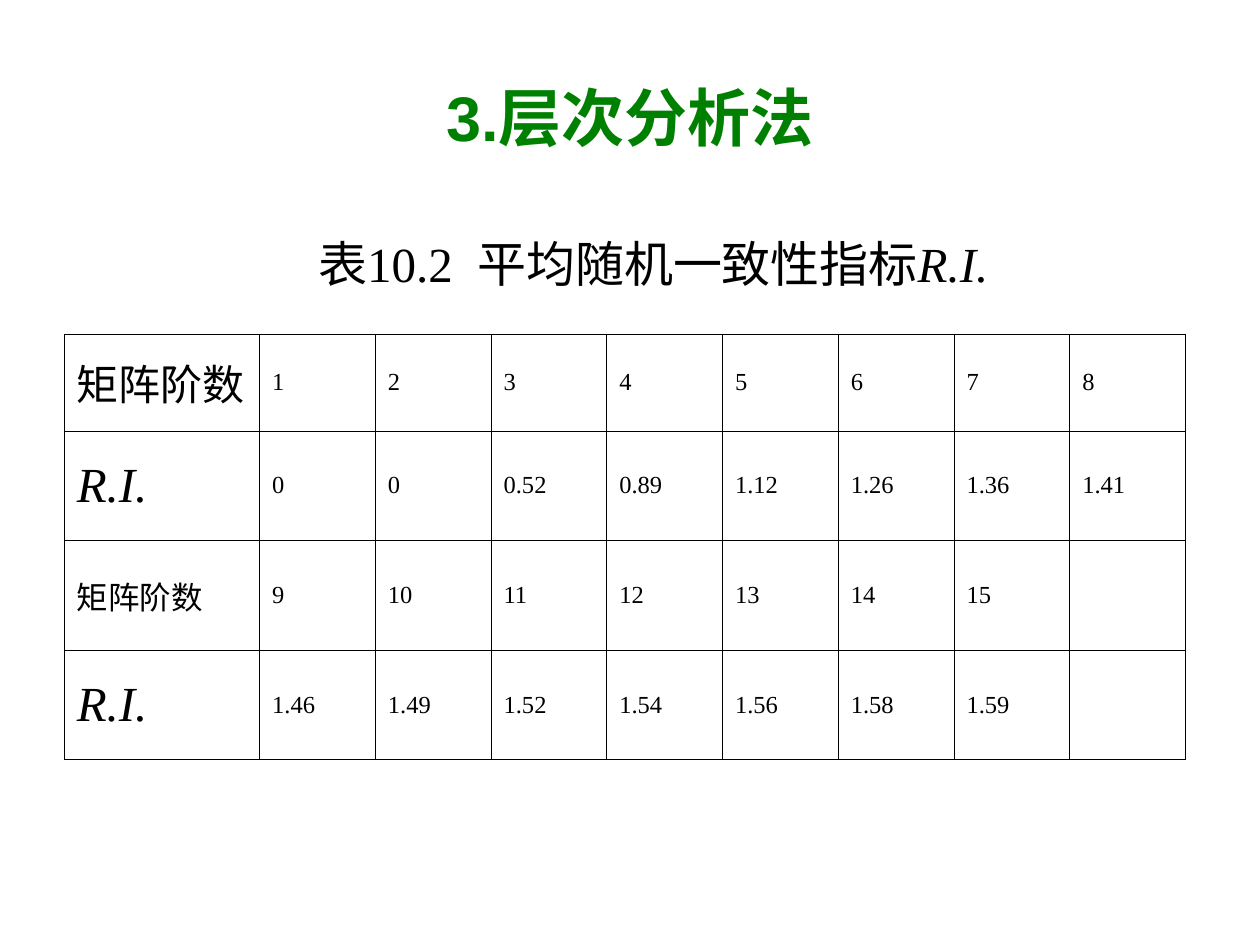
from lxml import etree
from pptx import Presentation
from pptx.dml.color import RGBColor
from pptx.enum.text import MSO_ANCHOR, PP_ALIGN
from pptx.oxml.ns import qn
from pptx.util import Inches, Pt

BLACK = RGBColor(0x00, 0x00, 0x00)
GREEN = RGBColor(0x00, 0x80, 0x00)
LATIN, SERIF, CHINESE = "Arial", "Times New Roman", "Noto Sans CJK SC"
MIDDLE, CENTER, LEFT = MSO_ANCHOR.MIDDLE, PP_ALIGN.CENTER, PP_ALIGN.LEFT

# Content
TITLE = "3.层次分析法"
CAPTION = [
    ("表", {"font": CHINESE}),
    ("10.2", {}),
    (" ", {"spacing": 7}),
    ("平均随机一致性指标", {"font": CHINESE}),
    ("R.I.", {"italic": True}),
]
ROWS = [
    ["矩阵阶数", "1", "2", "3", "4", "5", "6", "7", "8"],
    ["R.I.", "0", "0", "0.52", "0.89", "1.12", "1.26", "1.36", "1.41"],
    ["矩阵阶数", "9", "10", "11", "12", "13", "14", "15", ""],
    ["R.I.", "1.46", "1.49", "1.52", "1.54", "1.56", "1.58", "1.59", ""],
]
INDEX_STYLE = {"size": 28, "italic": True}
HEADING_STYLES = [
    {"size": 24, "font": LATIN}, INDEX_STYLE,
    {"size": 18, "font": LATIN}, INDEX_STYLE,
]

# Table layout, in inches, and border widths, in points
TABLE_LEFT, TABLE_TOP, TABLE_WIDTH = 0.51, 2.65, 8.9
HEADING_WIDTH = 1.55
ROW_HEIGHTS = [0.77, 0.87, 0.87, 0.87]
OUTER_LINE, INNER_LINE, DIVIDER_LINE = 0.45, 0.34, 0.96


def add_text(paragraph, text, *, size=14, font=SERIF, color=BLACK, bold=False,
             italic=False, align=LEFT, spacing=0):
    paragraph.alignment = align
    run = paragraph.add_run()
    run.text = text
    run.font.size = Pt(size)
    run.font.name = font
    run.font.bold = bold
    run.font.italic = italic
    run.font.color.rgb = color
    properties = run.font._element
    etree.SubElement(properties, qn("a:ea")).set("typeface", CHINESE)
    if spacing:
        properties.set("spc", str(spacing * 100))


def add_box(slide, left, top, width, height):
    box = slide.shapes.add_textbox(
        Inches(left), Inches(top), Inches(width), Inches(height))
    box.text_frame.word_wrap = True
    box.text_frame.vertical_anchor = MIDDLE
    return box.text_frame.paragraphs[0]


def set_borders(cell, widths):
    properties = cell._tc.get_or_add_tcPr()
    for side, width in zip("LRTB", widths):
        line = etree.SubElement(properties, qn(f"a:ln{side}"), w=str(Pt(width)))
        fill = etree.SubElement(line, qn("a:solidFill"))
        etree.SubElement(fill, qn("a:srgbClr"), val=str(BLACK))


def add_index_table(slide):
    row_count, column_count = len(ROWS), len(ROWS[0])
    table = slide.shapes.add_table(
        row_count, column_count, Inches(TABLE_LEFT), Inches(TABLE_TOP),
        Inches(TABLE_WIDTH), Inches(sum(ROW_HEIGHTS))).table
    table.first_row = table.horz_banding = False

    value_width = (TABLE_WIDTH - HEADING_WIDTH) / (column_count - 1)
    for index, column in enumerate(table.columns):
        column.width = Inches(value_width if index else HEADING_WIDTH)
    for row, height in zip(table.rows, ROW_HEIGHTS):
        row.height = Inches(height)

    # Line widths by grid position: the rule between the two halves is heavier
    vertical = [OUTER_LINE] * 2 + [INNER_LINE] * (column_count - 2) + [OUTER_LINE]
    horizontal = [OUTER_LINE] * (row_count + 1)
    horizontal[row_count // 2] = DIVIDER_LINE

    for r, values in enumerate(ROWS):
        for c, value in enumerate(values):
            cell = table.cell(r, c)
            cell.vertical_anchor = MIDDLE
            set_borders(cell, vertical[c:c + 2] + horizontal[r:r + 2])
            cell.fill.background()
            if value:
                style = {} if c else HEADING_STYLES[r]
                add_text(cell.text_frame.paragraphs[0], value, **style)


def main():
    presentation = Presentation()
    presentation.slide_width = Inches(10)
    presentation.slide_height = Inches(7.5)
    slide = presentation.slides.add_slide(presentation.slide_layouts[6])

    # Title
    add_text(add_box(slide, 0.5, 0.3, 9, 1.25), TITLE, size=36, font=LATIN,
             color=GREEN, bold=True, align=CENTER)

    # Table and its caption
    add_index_table(slide)
    caption = add_box(slide, 1.75, 1.8, 6.87, 0.57)
    for text, style in CAPTION:
        add_text(caption, text, size=28, align=CENTER, **style)

    presentation.save("out.pptx")


if __name__ == "__main__":
    main()
